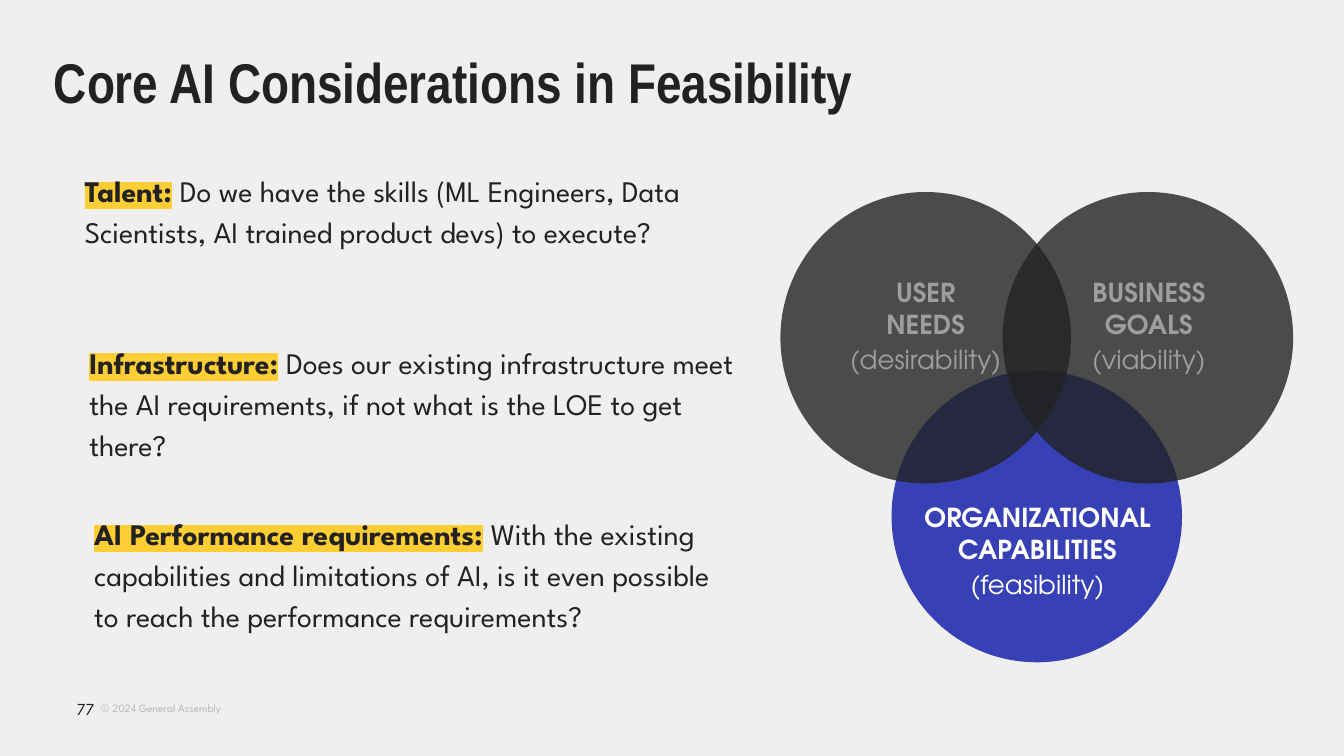
from lxml import etree
from pptx import Presentation
from pptx.dml.color import RGBColor
from pptx.enum import shapes, text
from pptx.oxml.ns import qn
from pptx.util import Cm, Pt

BACKGROUND = RGBColor(0xEF, 0xEF, 0xEF)
INK = RGBColor(0x22, 0x22, 0x22)
BLUE = RGBColor(0x37, 0x40, 0xB5)
YELLOW = RGBColor(0xFF, 0xCD, 0x34)
MUTED = RGBColor(0x9E, 0x9E, 0x9E)
PALE = RGBColor(0xB7, 0xB7, 0xB7)
WHITE = RGBColor(0xFF, 0xFF, 0xFF)

TITLE_FONT = "Arial Narrow"
BODY_FONT = "League Spartan"
VENN_FONT = "TeX Gyre Adventor"

CONSIDERATIONS = [
    # label, question, box height in cm
    ("Talent:", "Do we have the skills (ML Engineers, Data Scientists, "
     "AI trained product devs) to execute?", 2.77),
    ("Infrastructure:", "Does our existing infrastructure meet the AI "
     "requirements, if not what is the LOE to get there?", 2.77),
    ("AI Performance requirements:", "With the existing capabilities and "
     "limitations of AI, is it even possible to reach the performance "
     "requirements?", 3.56),
]


def add_box(s, x, y, w, h, inset=0, anchor=text.MSO_ANCHOR.TOP):
    """Add a wrapping text box and return its text frame."""
    tf = s.shapes.add_textbox(Cm(x), Cm(y), Cm(w), Cm(h)).text_frame
    tf.word_wrap = True
    tf.vertical_anchor = anchor
    tf.margin_left = tf.margin_right = Cm(inset)
    tf.margin_top = tf.margin_bottom = Cm(inset)
    return tf


def style(r, font, size, color, bold=False):
    r.font.size = Pt(size)
    r.font.bold = bold
    r.font.color.rgb = color
    r.font.name = font


def highlight(r, color):
    mark = etree.Element(qn("a:highlight"))
    etree.SubElement(mark, qn("a:srgbClr"), val=str(color))
    r.font._element.find(qn("a:solidFill")).addnext(mark)


def add_title(s, x, y, w, h):
    p = add_box(s, x, y, w, h).paragraphs[0]
    p.text = "Core AI Considerations in Feasibility"
    p.line_spacing = 0.9
    style(p.runs[0], TITLE_FONT, 30, INK, True)


def add_considerations(s, x, y, w, step):
    for i, (label, question, h) in enumerate(CONSIDERATIONS):
        # Each box starts a little further in and is a little narrower
        tf = add_box(s, x + 0.09 * i, y + step * i, w - 0.17 * i, h, 0.25)
        p = tf.paragraphs[0]
        p.line_spacing = 1.15
        p.space_after = Pt(10)
        for part, bold in ((label, True), (" ", True), (question, False)):
            r = p.add_run()
            r.text = part
            style(r, BODY_FONT, 16, INK, bold)
        highlight(p.runs[0], YELLOW)


def add_circle(s, x, y, w, h, color, alpha=None):
    sp = s.shapes.add_shape(shapes.MSO_SHAPE.OVAL, Cm(x), Cm(y), Cm(w), Cm(h))
    sp.shadow.inherit = False
    sp.fill.solid()
    sp.fill.fore_color.rgb = color
    sp.line.fill.background()
    if alpha is not None:
        clr = sp._element.spPr.find(qn("a:solidFill")).find(qn("a:srgbClr"))
        etree.SubElement(clr, qn("a:alpha"), val=str(alpha * 1000))


def add_venn_label(s, x, y, w, h, name, quality, color):
    tf = add_box(s, x, y, w, h, 0.1, text.MSO_ANCHOR.MIDDLE)
    tf.text = f"{name}\n{quality}"
    for p, bold in zip(tf.paragraphs, (True, False)):
        p.alignment = text.PP_ALIGN.CENTER
        for r in p.runs:
            style(r, VENN_FONT, 14, color, bold)
    tf.paragraphs[1].space_before = tf.paragraphs[1].space_after = Pt(2)


def add_venn(s, x, y):
    w, h = 5.49, 5.51
    shift, drop = 4.2, 3.38
    # Circles: the highlighted one lies under the two translucent ones
    add_circle(s, x + shift / 2, y + drop, w, h, BLUE)
    add_circle(s, x + shift, y, w, h, INK, 80)
    add_circle(s, x, y, w, h, INK, 80)
    # Labels
    add_venn_label(s, x + 5.11, y + 2.03, 3.71, 0.99,
                   "BUSINESS GOALS", "(viability)", MUTED)
    add_venn_label(s, x + 0.23, y + 2.03, 5.03, 0.99,
                   "USER\vNEEDS", "(desirability)", MUTED)
    add_venn_label(s, x + 2.41, y + 6.12, 4.9, 1.32,
                   "ORGANIZATIONAL CAPABILITIES", "(feasibility)", WHITE)


def add_footer(s, x, y, h):
    # Page number
    p = add_box(s, x, y, 0.89, h, anchor=text.MSO_ANCHOR.MIDDLE).paragraphs[0]
    p.text = "77"
    p.alignment = text.PP_ALIGN.RIGHT
    style(p.runs[0], BODY_FONT, 9, INK)
    # Copyright line
    tf = add_box(s, x + 1.02, y + 0.18, 2.54, 0.51,
                 anchor=text.MSO_ANCHOR.MIDDLE)
    tf.text = "© 2024 General Assembly"
    style(tf.paragraphs[0].runs[0], BODY_FONT, 6, PALE)


def main():
    prs = Presentation()
    prs.slide_width, prs.slide_height = Cm(25.4), Cm(14.29)
    s = prs.slides.add_slide(prs.slide_layouts[6])
    s.background.fill.solid()
    s.background.fill.fore_color.rgb = BACKGROUND

    add_title(s, 1.02, 1.04, 22.86, 1.27)
    add_considerations(s, 1.35, 2.92, 12.95, 3.24)
    add_venn(s, 14.75, 3.63)
    add_footer(s, 0.89, 12.95, 0.89)
    prs.save("out.pptx")


if __name__ == "__main__":
    main()
